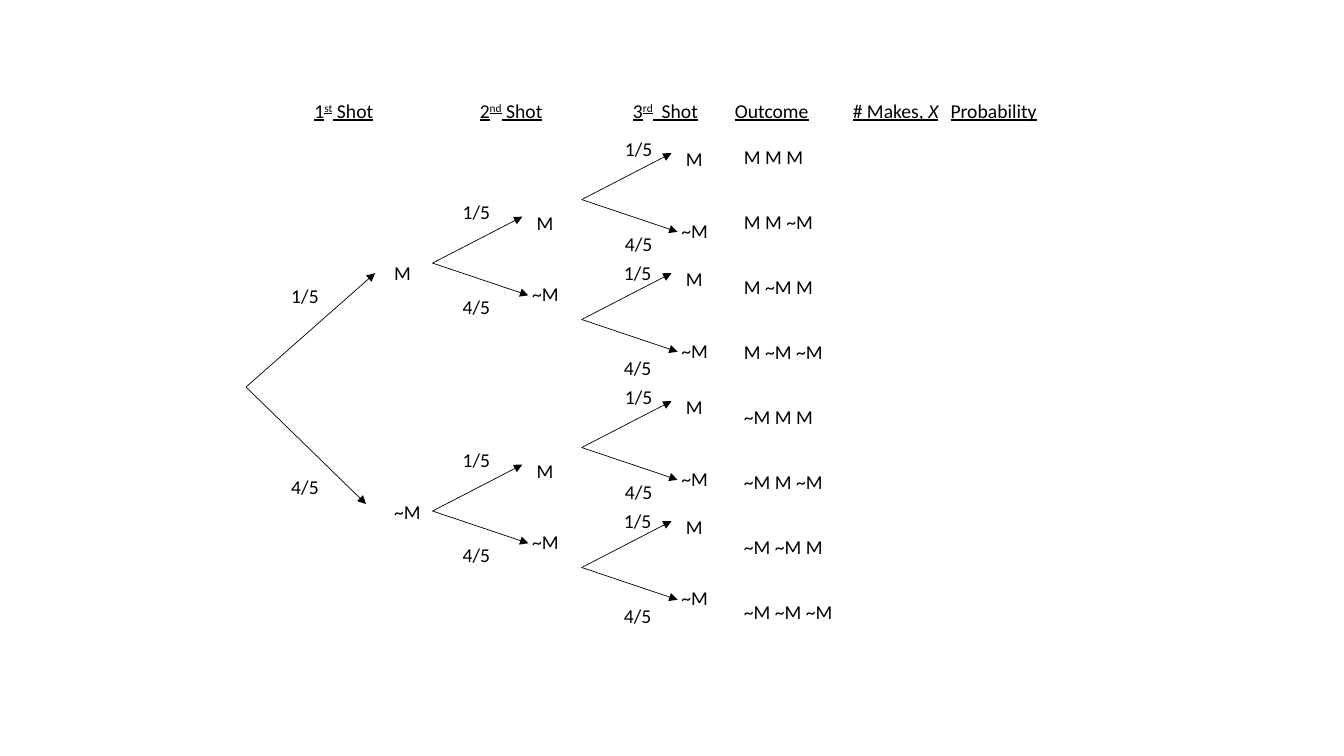
import itertools

import lxml.etree
import pptx
import pptx.dml.color
import pptx.enum.shapes
import pptx.enum.text
import pptx.oxml.ns
import pptx.util

# Content: each heading is (left, width, spans); each span is (text, style)
HEADINGS = [
    (3.02, 0.80, [("1", ""), ("st", "super"), (" Shot", "")]),
    (4.66, 0.85, [("2", ""), ("nd", "super"), (" Shot", "")]),
    (6.18, 0.86, [("3", ""), ("rd", "super"), ("  Shot", "")]),
    (7.19, 0.94, [("Outcome", "")]),
    (8.36, 1.06, [("# Makes, ", ""), ("X", "italic")]),
    (9.33, 1.07, [("Probability", "")]),
]
RESULTS = ["M", "~M"]
ODDS = ["1/5", "4/5"]

# Layout in inches
INK = "000000"
FONT_SIZE = 14
LINE_POINTS = 17.1
LINE_HEIGHT = 0.34
HEADING_TOP = 0.93
ROOT_X, ROOT_Y = 2.44, 3.84
SECOND_X, SECOND_SPREAD = 4.29, 1.23
THIRD_X, THIRD_RISE, THIRD_DROP = 5.77, 0.63, 0.56
OUTCOME_LEFT, OUTCOME_TOP, OUTCOME_PITCH = 7.28, 1.39, 4.51 / 7

deck = pptx.Presentation()
deck.slide_width = pptx.util.Inches(13.33)
deck.slide_height = pptx.util.Inches(7.5)
page = deck.slides.add_slide(deck.slide_layouts[6])


def color(value):
    return pptx.dml.color.RGBColor.from_string(value)


def add_arrow(x1, y1, x2, y2):
    ends = [pptx.util.Inches(v) for v in (x1, y1, x2, y2)]
    arrow = page.shapes.add_connector(pptx.enum.shapes.MSO_CONNECTOR.STRAIGHT, *ends)
    arrow.line.color.rgb = color(INK)
    arrow.line.width = pptx.util.Pt(0.5)
    tag = pptx.oxml.ns.qn
    lxml.etree.SubElement(arrow.line._get_or_add_ln(), tag("a:tailEnd"), type="triangle")
    lxml.etree.SubElement(arrow._element.spPr, tag("a:effectLst"))


def add_text(left, top, width, height, lines, blank_lines=0, underline=None):
    """Place lines of (text, style) spans, parted by a gap of blank_lines."""
    box = page.shapes.add_textbox(*[pptx.util.Inches(v) for v in (left, top, width, height)])
    frame = box.text_frame
    frame.word_wrap = False
    frame.auto_size = pptx.enum.text.MSO_AUTO_SIZE.SHAPE_TO_FIT_TEXT
    for index, spans in enumerate(lines):
        para = frame.add_paragraph() if index else frame.paragraphs[0]
        if index:
            para.space_before = pptx.util.Pt(blank_lines * LINE_POINTS)
        para.font.name = "Calibri"
        para.font.size = pptx.util.Pt(FONT_SIZE)
        para.font.color.rgb = color(INK)
        para.font.underline = underline
        for text, style in spans:
            span = para.add_run()
            span.text = text
            if style == "italic":
                span.font.italic = True
            elif style == "super":
                span._r.get_or_add_rPr().set("baseline", "30000")


def add_pair(left, top, width, height, texts, blank_lines):
    add_text(left, top, width, height, [[(text, "")] for text in texts], blank_lines)


def add_fork(x, y, odds_x, odds_y):
    add_arrow(x, y, x + 0.89, y - 0.46)
    add_arrow(x, y, x + 0.95, y + 0.32)
    add_pair(x + 0.89, y - 0.57, 0.47, 1.04, [" " + RESULTS[0], RESULTS[1]], 2)
    add_pair(x + odds_x, y + odds_y, 0.48, 1.28, ODDS, 3)


# First shot
add_arrow(ROOT_X, ROOT_Y, 3.72, 2.71)
add_arrow(ROOT_X, ROOT_Y, 3.63, 5.0)
add_pair(3.81, 2.54, 0.47, 2.69, RESULTS, 9)
add_pair(2.79, 2.77, 0.48, 2.22, ODDS, 7)

# Second and third shots
for second_y in (ROOT_Y - SECOND_SPREAD, ROOT_Y + SECOND_SPREAD):
    add_fork(SECOND_X, second_y, 0.2, -0.68)
    add_fork(THIRD_X, second_y - THIRD_RISE, 0.33, -0.67)
    add_fork(THIRD_X, second_y + THIRD_DROP, 0.32, -0.63)

# Column headings
for left, width, spans in HEADINGS:
    add_text(left, HEADING_TOP, width, LINE_HEIGHT, [spans], underline=True)

# Outcomes: every sequence of three shots
for row, shots in enumerate(itertools.product(RESULTS, repeat=3)):
    width = 0.79 + 0.1 * shots.count("~M")
    top = OUTCOME_TOP + row * OUTCOME_PITCH
    add_text(OUTCOME_LEFT, top, width, LINE_HEIGHT, [[(" ".join(shots), "")]])

deck.save("out.pptx")
